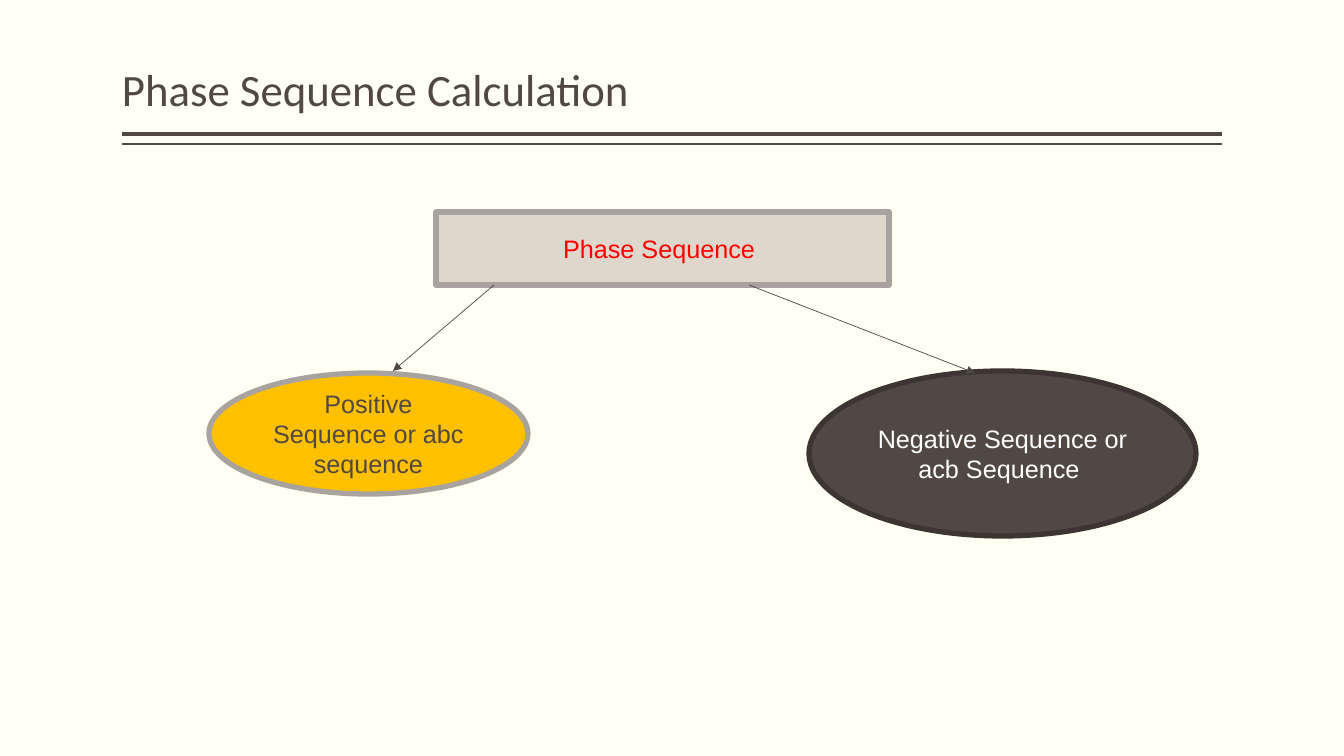
import dataclasses

import lxml.etree
import pptx
import pptx.dml.color
import pptx.enum.shapes
import pptx.enum.text
import pptx.oxml.ns
import pptx.util

EMU_PER_PX = 914400 / 100.8
BROWN = "514843"
GREY = "A8A39E"
RECTANGLE = pptx.enum.shapes.MSO_SHAPE.RECTANGLE
ELLIPSE = pptx.enum.shapes.MSO_SHAPE.OVAL


@dataclasses.dataclass
class Node:
    kind: pptx.enum.shapes.MSO_SHAPE
    left: int
    top: int
    width: int
    height: int
    text: str
    fill: str
    outline: str
    text_color: str


@dataclasses.dataclass
class Line:
    start: tuple[int, int]
    end: tuple[int, int]
    weight: float
    arrow: bool = False


RULES = [
    Line((1222, 134), (122, 134), 3),
    Line((1222, 144), (122, 144), 1),
]
NODES = [
    Node(RECTANGLE, 436, 212, 453, 73, "Phase Sequence ", "DFD7CB", GREY, "FF0000"),
    Node(ELLIPSE, 209, 373, 319, 121, "Positive Sequence or abc sequence",
         "FFC000", GREY, BROWN),
    Node(ELLIPSE, 809, 371, 387, 165, "Negative Sequence or acb Sequence ",
         BROWN, "3C3532", "FFFFFF"),
]
ARROWS = [
    Line((494, 285), (393, 371), 0.5, arrow=True),
    Line((749, 285), (975, 373), 0.5, arrow=True),
]


def px(length: int) -> pptx.util.Emu:
    return pptx.util.Emu(round(length * EMU_PER_PX))


def color(value: str) -> pptx.dml.color.RGBColor:
    return pptx.dml.color.RGBColor.from_string(value)


def style_text(para, font_name: str, size: int, font_color: str) -> None:
    for span in para.runs:
        span.font.name = font_name
        span.font.size = pptx.util.Pt(size)
        span.font.color.rgb = color(font_color)


def add_line(page, line: Line) -> None:
    connector = page.shapes.add_connector(
        pptx.enum.shapes.MSO_CONNECTOR.STRAIGHT,
        *map(px, line.start + line.end))
    connector.line.color.rgb = color(BROWN)
    connector.line.width = pptx.util.Pt(line.weight)
    if line.arrow:
        lxml.etree.SubElement(connector.line._get_or_add_ln(),
                              pptx.oxml.ns.qn("a:tailEnd"), type="triangle")
    lxml.etree.SubElement(connector._element.spPr, pptx.oxml.ns.qn("a:effectLst"))


def add_title(page, text: str) -> None:
    box = page.shapes.add_textbox(px(122), px(0), px(1100), px(121))
    frame = box.text_frame
    frame.word_wrap = True
    frame.vertical_anchor = pptx.enum.text.MSO_ANCHOR.BOTTOM
    frame.margin_left = frame.margin_right = 0
    frame.text = text
    para = frame.paragraphs[0]
    para.line_spacing = 0.9
    style_text(para, "Calibri", 32, BROWN)


def add_node(page, node: Node) -> None:
    shape = page.shapes.add_shape(
        node.kind, *map(px, (node.left, node.top, node.width, node.height)))
    shape.shadow.inherit = False
    shape.fill.solid()
    shape.fill.fore_color.rgb = color(node.fill)
    shape.line.color.rgb = color(node.outline)
    shape.line.width = pptx.util.Pt(3.78)
    frame = shape.text_frame
    frame.word_wrap = True
    frame.vertical_anchor = pptx.enum.text.MSO_ANCHOR.MIDDLE
    frame.text = node.text
    para = frame.paragraphs[0]
    para.alignment = pptx.enum.text.PP_ALIGN.CENTER
    style_text(para, "Arial", 18, node.text_color)


def main() -> None:
    deck = pptx.Presentation()
    deck.slide_width = px(1344)
    deck.slide_height = px(756)
    page = deck.slides.add_slide(deck.slide_layouts[6])
    page.background.fill.solid()
    page.background.fill.fore_color.rgb = color("FFFFF3")

    for rule in RULES:
        add_line(page, rule)
    add_title(page, "Phase Sequence Calculation")
    for node in NODES:
        add_node(page, node)
    for arrow in ARROWS:
        add_line(page, arrow)
    deck.save("out.pptx")


if __name__ == "__main__":
    main()
